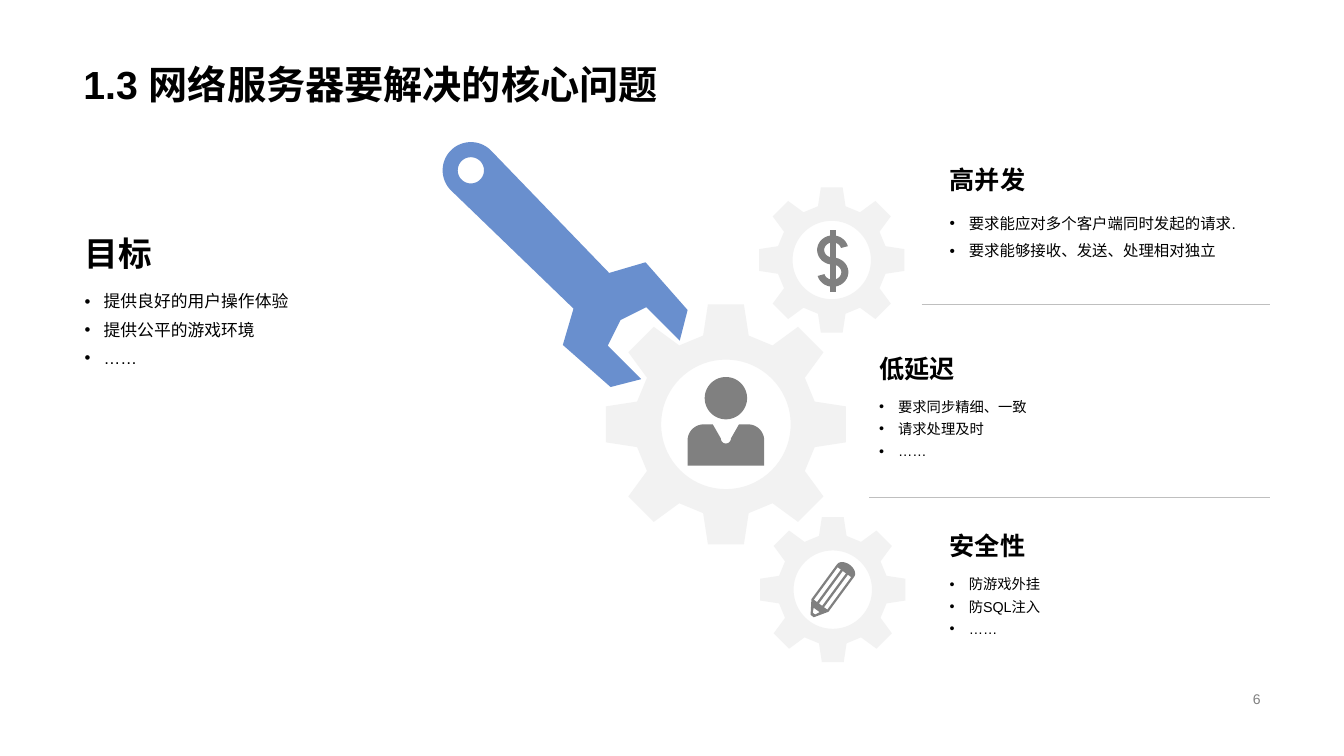
from math import cos, radians, sin

from lxml.etree import SubElement
from pptx import Presentation
from pptx.dml.color import RGBColor
from pptx.enum.shapes import MSO_CONNECTOR
from pptx.enum.text import MSO_ANCHOR, PP_ALIGN
from pptx.oxml.ns import qn
from pptx.util import Inches, Pt

BLACK, GRAY, PALE, BLUE, RULE = "000000", "808080", "F2F2F2", "698FCE", "BFBFBF"


def rgb(value):
    return RGBColor.from_string(value)


def arc(cx, cy, rx, ry, start, stop, steps=24):
    angles = [radians(start + (stop - start) * i / steps) for i in range(steps + 1)]
    return [(cx + rx * cos(a), cy + ry * sin(a)) for a in angles]


def circle(cx, cy, radius):
    return arc(cx, cy, radius, radius, 0, 360, 72)


def mirror(half):
    return half + [(along, -across) for along, across in reversed(half)]


def place(points, origin, angle=0, scale=1):
    c, d = scale * cos(radians(angle)), scale * sin(radians(angle))
    return [(origin[0] + x * c - y * d, origin[1] + x * d + y * c) for x, y in points]


class Slide:
    def __init__(self, prs, font="Arial"):
        self.s = prs.slides.add_slide(prs.slide_layouts[6])
        self.font = font

    def text(self, box, lines, size, color=BLACK, bold=False, anchor=MSO_ANCHOR.TOP,
             align=PP_ALIGN.LEFT, spacing=1.0, bullet=False):
        tf = self.s.shapes.add_textbox(*map(Inches, box)).text_frame
        tf.word_wrap = True
        tf.vertical_anchor = anchor
        tf.text = "\n".join(lines)
        for p in tf.paragraphs:
            p.alignment = align
            p.line_spacing = spacing
            if bullet:
                pPr = p._p.get_or_add_pPr()
                pPr.set("marL", str(Inches(0.19)))
                pPr.set("indent", str(-Inches(0.19)))
                SubElement(pPr, qn("a:buFont")).set("typeface", "Arial")
                SubElement(pPr, qn("a:buChar")).set("char", "•")
            for r in p.runs:
                r.font.name = self.font
                r.font.size = Pt(size)
                r.font.bold = bold
                r.font.color.rgb = rgb(color)

    def section(self, x, y, heading, items, size, spacing, width=3.27, height=0.77,
                heading_size=18, heading_spacing=1.0):
        self.text((x, y, width, 0.48), [heading], heading_size, bold=True,
                  anchor=MSO_ANCHOR.BOTTOM, spacing=heading_spacing)
        self.text((x, y + 0.48, width, height), items, size, spacing=spacing, bullet=True)

    def freeform(self, color, *contours):
        builder = None
        for contour in contours:
            start, *rest = [(Inches(x), Inches(y)) for x, y in contour]
            if builder is None:
                builder = self.s.shapes.build_freeform(*start)
            else:
                builder.move_to(*start)
            builder.add_line_segments(rest, close=True)
        sp = builder.convert_to_shape()
        sp.shadow.inherit = False
        sp.fill.solid()
        sp.fill.fore_color.rgb = rgb(color)
        sp.line.fill.background()

    def gear(self, center, radius, teeth=8):
        tooth = [(0.74, -0.19), (1, -0.15), (1, 0.15), (0.74, 0.19)]
        rim = [point for i in range(teeth)
               for point in place(tooth, center, i * 360 / teeth, radius)]
        self.freeform(PALE, rim, circle(*center, radius * 0.54))

    def person(self, center):
        x, y = center
        right_half = ([(0.41, 0.38)] + arc(0.16, 0.22, 0.16, 0.16, 90, 180)
                      + [(0, 0.13)] + arc(0.14, 0, 0.05, 0.05, 90, 0))
        self.freeform(GRAY, circle(x, y - 0.26, 0.21), place(mirror(right_half), center, 90))

    def wrench(self, center, angle):
        handle_end = arc(0, 0, 0.28, 0.28, 180, 90)
        jaw = [(1.69, 0.25), (1.87, 0.58), (2.5, 0.54), (2.66, 0.27), (2.19, 0.27), (2.1, 0)]
        self.freeform(BLUE, place(mirror(handle_end + jaw), center, angle),
                      circle(*center, 0.13))

    def dollar(self, center):
        lobe, stroke = 0.11, 0.035
        outer, inner = [arc(0, -lobe, lobe + 0.01 + edge, lobe + edge, -15, -270)
                        for edge in (stroke, -stroke)]
        edge = outer + place(inner, (0, 0), 180)[::-1]
        self.freeform(GRAY, place(edge + place(edge, (0, 0), 180), center))
        self.freeform(GRAY, place(mirror([(-0.31, 0.03), (0.31, 0.03)]), center, 90))

    def pencil(self, tip, angle):
        body = mirror([(1, 2), (14, 10.5)] + arc(57, 0, 7, 10.5, 90, 0))
        bare_wood = mirror([(4, 1.5), (8.5, 3.7)])
        stripes = [[(15, v - 2), (55, v - 2), (55, v + 2), (15, v + 2)] for v in (-6.3, 0, 6.3)]
        self.freeform(GRAY, *[place(part, tip, angle, 0.01)
                              for part in (body, bare_wood, *stripes)])

    def rule(self, x1, x2, y):
        line = self.s.shapes.add_connector(
            MSO_CONNECTOR.STRAIGHT, Inches(x1), Inches(y), Inches(x2), Inches(y))
        line.line.color.rgb = rgb(RULE)
        line.line.width = Pt(0.25)
        SubElement(line._element.spPr, qn("a:effectLst"))


prs = Presentation()
prs.slide_width, prs.slide_height = Inches(13.33), Inches(7.5)
slide = Slide(prs)

slide.text((0.73, 0, 11.87, 1.12), ["1.3 网络服务器要解决的核心问题"], 28, bold=True,
           anchor=MSO_ANCHOR.BOTTOM, spacing=0.9)
slide.text((9.42, 6.82, 3.18, 0.23), ["6"], 10, GRAY, anchor=MSO_ANCHOR.MIDDLE,
           align=PP_ALIGN.RIGHT)

for center, radius in (((8.26, 5.85), 0.72), ((8.25, 2.58), 0.72), ((7.2, 4.21), 1.19)):
    slide.gear(center, radius)
slide.person((7.2, 4.21))
slide.wrench((4.67, 1.69), 45)
slide.dollar((8.26, 2.59))
slide.pencil((8.05, 6.12), -53.7)

slide.section(0.74, 2.28, "目标", ["提供良好的用户操作体验", "提供公平的游戏环境", "……"],
              12, 1.4, width=3.93, height=0.95, heading_size=24, heading_spacing=0.9)
requirements = [
    (9.32, 1.5, "高并发",
     ["要求能应对多个客户端同时发起的请求.", "要求能够接收、发送、处理相对独立"], 11, 1.5),
    (8.62, 3.37, "低延迟", ["要求同步精细、一致", "请求处理及时", "……"], 10.2, 1.3),
    (9.32, 5.13, "安全性", ["防游戏外挂", "防SQL注入", "……"], 10.2, 1.3),
]
for requirement in requirements:
    slide.section(*requirement)

for left, y in ((9.14, 3.02), (8.62, 4.93)):
    slide.rule(left, 12.6, y)

prs.save("out.pptx")
